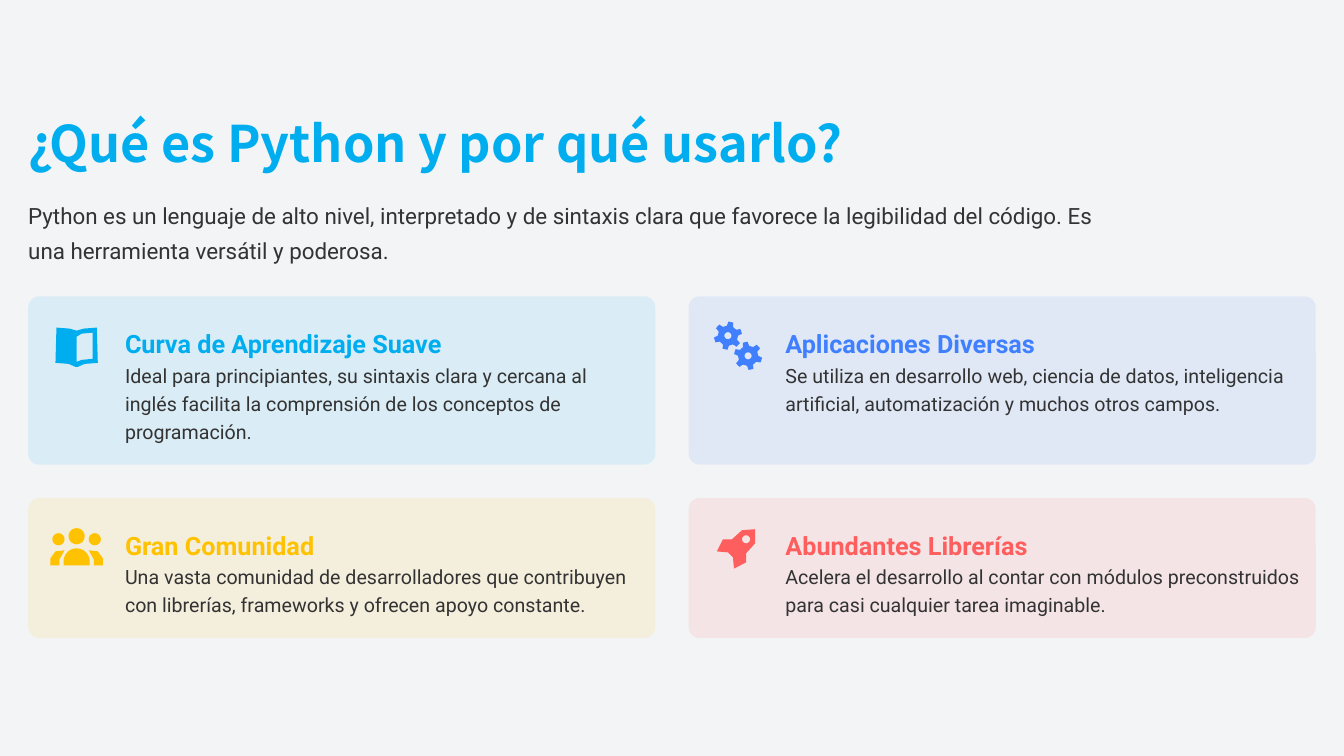
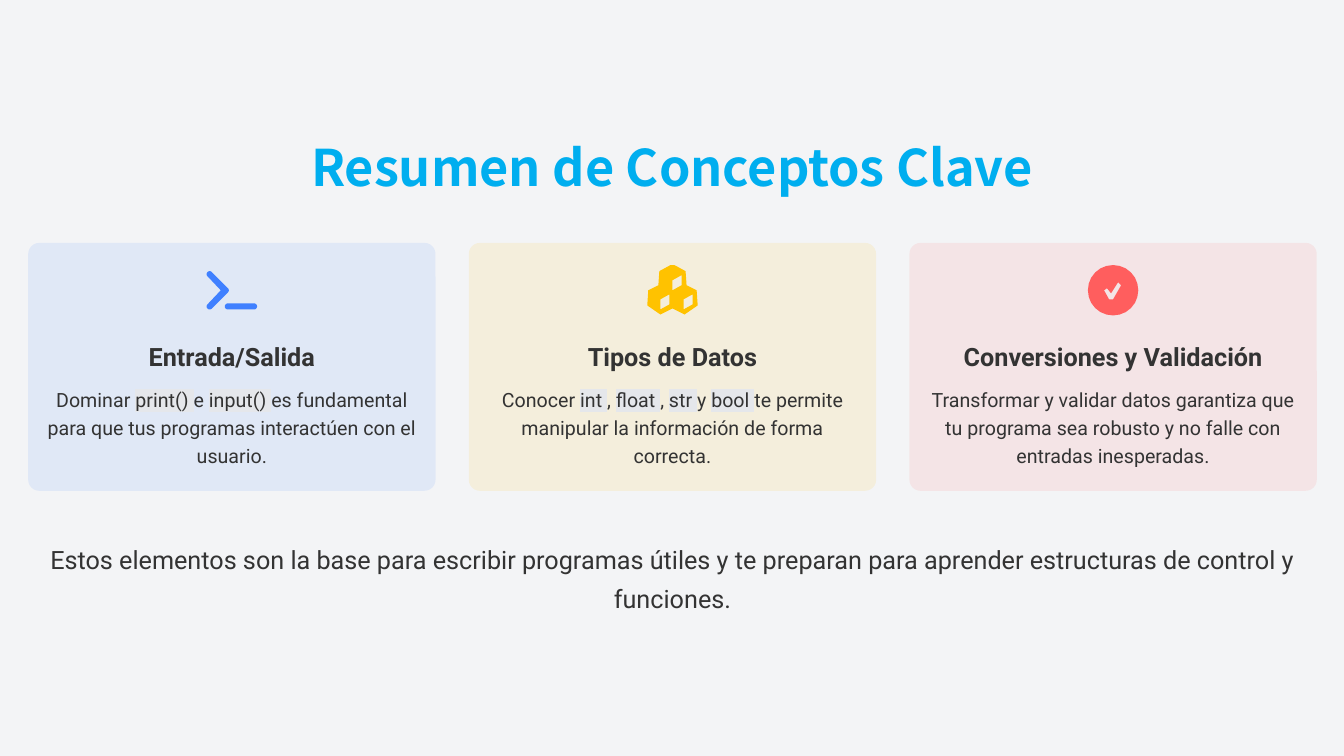
from math import cos, radians, sin

from lxml import etree
from pptx import Presentation
from pptx.dml.color import RGBColor
from pptx.enum.shapes import MSO_SHAPE
from pptx.enum.text import MSO_ANCHOR, MSO_AUTO_SIZE, PP_ALIGN
from pptx.oxml.ns import qn
from pptx.util import Inches, Pt

ROUNDED = MSO_SHAPE.ROUNDED_RECTANGLE
TOP, MIDDLE = MSO_ANCHOR.TOP, MSO_ANCHOR.MIDDLE
NO_FIT = MSO_AUTO_SIZE.NONE
LEFT, CENTER = PP_ALIGN.LEFT, PP_ALIGN.CENTER

COLORS = {
    "background": "F3F4F6",
    "text": "333333",
    "code": "E5E7EB",
    "cyan": "00AEEF",
    "blue": "4080FF",
    "yellow": "FFC200",
    "red": "FF5E5E",
}
TITLE_FONT, BODY_FONT = "Noto Sans CJK SC", "Roboto"
MARGIN, GAP, RADIUS = 0.28, 0.33, 0.11


def rgb(color):
    return RGBColor.from_string(COLORS[color])


def polar(x, y, radius, degrees):
    return x + radius * cos(radians(degrees)), y + radius * sin(radians(degrees))


def arc(x, y, radius, start=0, sweep=360):
    return [polar(x, y, radius, start + turn) for turn in range(0, sweep + 1, 15)]


def mirror(points):
    return [(-x, y) for x, y in reversed(points)]


def symmetric(half):
    return half + mirror(half)


# Each icon is a list of contours around its centre, in hundredths of an inch.
def book():
    page = [(0, -15), (7, -17), (20, -18), (21, 17), (8, 18), (1, 21)]
    paper = [(0, -9), (5, -12), (16, -13), (16, 13), (5, 14), (0, 16)]
    return [symmetric(page), paper]


def gears():
    contours = []
    for x, y, first_tooth in ((-9, -10, -78), (11, 10, -102)):
        rim = []
        for tooth in range(first_tooth, first_tooth + 360, 60):
            for radius, turn in ((10, -18), (14, -10), (14, 10), (10, 18)):
                rim.append(polar(x, y, radius, tooth + turn))
        contours += [rim, arc(x, y, 3.5)]
    return contours


def people():
    head = arc(-18, -8, 6)
    shoulder = [(-26, 18), (-26, 11), (-21, 4), (-12, 3), (-17, 12), (-17, 18)]
    torso = [(-13, 18)] + arc(0, 14, 13, 180, 180) + [(13, 18)]
    return [arc(0, -11, 8), torso, head, mirror(head), shoulder, mirror(shoulder)]


def rocket():
    body = [(-9, 5), (-20, 4), (-14, -8), (-5, -8), (5, -17), (18, -18),
            (18, -4), (9, 6), (9, 15), (-3, 21), (-4, 10)]
    return [body, arc(9, -8, 4)]


def prompt():
    chevron = (arc(-22, -16, 3, 135, 180) + arc(-6, 0, 3, -45, 90)
               + arc(-22, 16, 3, 45, 180) + [(-11, 0)])
    return [chevron, arc(-4, 16, 3, 90, 180) + arc(22, 16, 3, 270, 180)]


def cubes():
    half = [(2, -25), (13, -19), (14, -5), (24, 0), (25, 15), (12, 24), (0, 18)]
    faces = [[(x, y), (x, y + 10), (x - 9, y + 15), (x - 9, y + 5)]
             for x, y in ((-3, 4), (20, 4), (9, -15))]
    return [symmetric(half), *faces]


def check():
    mark = [(-9, 0), (-6, -2), (-2, 3), (5, -8), (8, -5), (0, 9), (-4, 9)]
    return [arc(0, 0, 25), mark]


def paint(shape, color, opacity=100):
    shape.shadow.inherit = False
    shape.line.fill.background()
    shape.fill.solid()
    shape.fill.fore_color.rgb = rgb(color)
    if opacity < 100:
        swatch = shape.element.spPr.find(".//" + qn("a:srgbClr"))
        etree.SubElement(swatch, qn("a:alpha"), val=str(opacity * 1000))


def highlight(span, color):
    mark = etree.Element(qn("a:highlight"))
    etree.SubElement(mark, qn("a:srgbClr"), val=COLORS[color])
    span.font.fill.solid()
    span.font.color.rgb = rgb("text")
    span._r.rPr.find(qn("a:solidFill")).addnext(mark)


def write(shape, text, size, color="text", bold=False, align=LEFT, spacing=1.2,
          font=BODY_FONT, anchor=MIDDLE):
    """Fill a text shape; parts between backticks are highlighted as code."""
    frame = shape.text_frame
    frame.word_wrap, frame.auto_size, frame.vertical_anchor = True, NO_FIT, anchor
    frame.margin_left = frame.margin_right = frame.margin_top = frame.margin_bottom = 0
    para = frame.paragraphs[0]
    para.alignment, para.line_spacing = align, spacing
    for index, part in enumerate(text.split("`")):
        span = para.add_run()
        span.text = part
        span.font.name, span.font.size, span.font.bold = font, Pt(size), bold
        span.font.color.rgb = rgb(color)
        if index % 2:
            highlight(span, "code")


def add_text(page, left, top, width, height, text, size, **style):
    box = page.shapes.add_textbox(*map(Inches, (left, top, width, height)))
    write(box, text, size, **style)


def add_titled_page(deck, text, left, top, align):
    page = deck.slides.add_slide(deck.slide_layouts[5])
    title = page.shapes.title
    title.left, title.top = Inches(left), Inches(top)
    title.width, title.height = Inches(13.03), Inches(0.56)
    write(title, text, 36, color="cyan", bold=True, align=align, spacing=0.9,
          font=TITLE_FONT)
    return page


def add_panel(page, left, top, width, height, color):
    panel = page.shapes.add_shape(ROUNDED, *map(Inches, (left, top, width, height)))
    panel.adjustments[0] = RADIUS / min(width, height)
    paint(panel, color, opacity=10)


def add_icon(page, icon, x, y, color):
    contours = [[(px * 10, py * 10) for px, py in points] for points in icon()]
    builder = page.shapes.build_freeform(*contours[0][0], scale=Inches(1) / 1000)
    for index, points in enumerate(contours):
        if index:
            builder.move_to(*points[0])
        builder.add_line_segments(points[1:], close=True)
    paint(builder.convert_to_shape(Inches(x), Inches(y)), color)


def add_side_card(page, left, top, height, icon, color, heading, body):
    """Card with its icon to the left of the text."""
    add_panel(page, left, top, 6.22, height, color)
    add_icon(page, icon, left + 0.48, top + 0.49, color)
    add_text(page, left + 0.96, top + 0.23, 5.17, 0.39, heading, 18,
             color=color, bold=True, spacing=1.3)
    add_text(page, left + 0.96, top + 0.62, 5.14, height - 0.84, body, 14, anchor=TOP)


def add_column_card(page, left, top, width, icon, color, heading, body):
    """Card with its icon centred above the text."""
    add_panel(page, left, top, width, 2.46, color)
    add_icon(page, icon, left + width / 2, top + 0.47, color)
    add_text(page, left + 0.17, top + 0.89, width - 0.34, 0.39, heading, 18,
             bold=True, align=CENTER, spacing=1.3)
    add_text(page, left + 0.17, top + 1.39, width - 0.34, 0.84, body, 14, align=CENTER)


def build_introduction(deck):
    page = add_titled_page(deck, "¿Qué es Python y por qué usarlo?", MARGIN, 1.17, LEFT)
    add_text(page, MARGIN, 1.94, 10.78, 0.67,
             "Python es un lenguaje de alto nivel, interpretado y de sintaxis clara que "
             "favorece la legibilidad del código. Es una herramienta versátil y poderosa.",
             16, spacing=1.3)
    rows = [
        (1.67, [
            (book, "cyan", "Curva de Aprendizaje Suave",
             "Ideal para principiantes, su sintaxis clara y cercana al inglés facilita la "
             "comprensión de los conceptos de programación."),
            (gears, "blue", "Aplicaciones Diversas",
             "Se utiliza en desarrollo web, ciencia de datos, inteligencia artificial, "
             "automatización y muchos otros campos."),
        ]),
        (1.39, [
            (people, "yellow", "Gran Comunidad",
             "Una vasta comunidad de desarrolladores que contribuyen con librerías, "
             "frameworks y ofrecen apoyo constante."),
            (rocket, "red", "Abundantes Librerías",
             "Acelera el desarrollo al contar con módulos preconstruidos para casi "
             "cualquier tarea imaginable."),
        ]),
    ]
    top = 2.94
    for height, cards in rows:
        for column, card in enumerate(cards):
            add_side_card(page, MARGIN + column * (6.22 + GAP), top, height, *card)
        top += height + GAP


def build_summary(deck):
    page = add_titled_page(deck, "Resumen de Conceptos Clave", 0.15, 1.41, CENTER)
    cards = [
        (prompt, "blue", "Entrada/Salida",
         "Dominar `print() `e `input() `es fundamental para que tus programas "
         "interactúen con el usuario."),
        (cubes, "yellow", "Tipos de Datos",
         "Conocer `int `, `float `, `str `y `bool `te permite manipular la información "
         "de forma correcta."),
        (check, "red", "Conversiones y Validación",
         "Transformar y validar datos garantiza que tu programa sea robusto y no falle "
         "con entradas inesperadas."),
    ]
    for column, card in enumerate(cards):
        add_column_card(page, MARGIN + column * (4.04 + GAP), 2.41, 4.04, *card)
    add_text(page, 0.22, 5.31, 12.9, 0.78,
             "Estos elementos son la base para escribir programas útiles y te preparan "
             "para aprender estructuras de control y funciones.",
             18, align=CENTER, spacing=1.3)


def main():
    deck = Presentation()
    deck.slide_width, deck.slide_height = Inches(13.33), Inches(7.5)
    backdrop = deck.slide_master.background.fill
    backdrop.solid()
    backdrop.fore_color.rgb = rgb("background")
    build_introduction(deck)
    build_summary(deck)
    deck.save("out.pptx")


if __name__ == "__main__":
    main()
